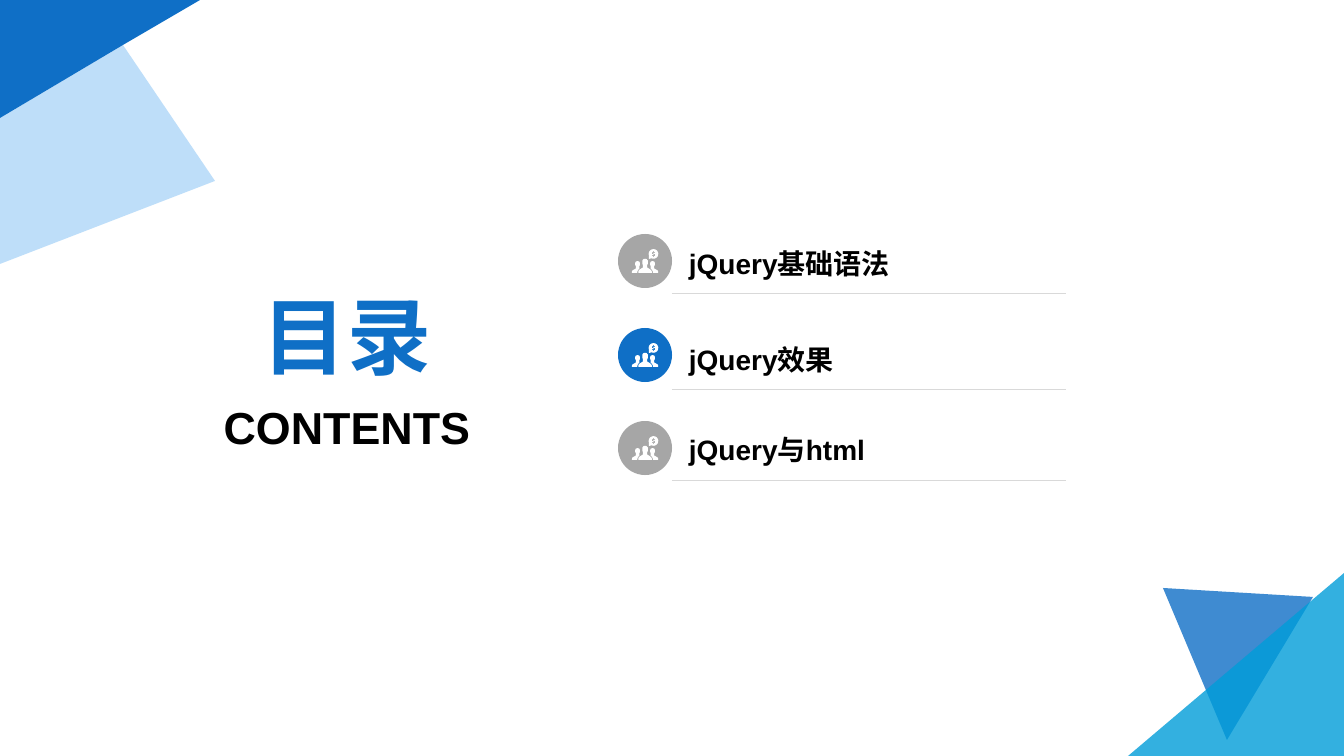
from math import cos, radians, sin

from lxml import etree
from pptx import Presentation
from pptx.dml.color import RGBColor
from pptx.enum.shapes import MSO_CONNECTOR, MSO_SHAPE
from pptx.enum.text import MSO_ANCHOR, MSO_AUTO_SIZE, PP_ALIGN
from pptx.oxml.ns import qn
from pptx.util import Emu, Pt

STRAIGHT = MSO_CONNECTOR.STRAIGHT
OVAL = MSO_SHAPE.OVAL
TOP, MIDDLE, BOTTOM = MSO_ANCHOR.TOP, MSO_ANCHOR.MIDDLE, MSO_ANCHOR.BOTTOM
LEFT, CENTER = PP_ALIGN.LEFT, PP_ALIGN.CENTER
NO_AUTOFIT = MSO_AUTO_SIZE.NONE

BLUE = RGBColor(0x0F, 0x6F, 0xC6)
LIGHT_BLUE = RGBColor(0x59, 0xAA, 0xF2)
CYAN = RGBColor(0x00, 0x9D, 0xD9)
GRAY = RGBColor(0xA6, 0xA6, 0xA6)
RULE_GRAY = RGBColor(0xD9, 0xD9, 0xD9)
BLACK = RGBColor(0, 0, 0)
WHITE = RGBColor(0xFF, 0xFF, 0xFF)

FONT = "Arial"
EMU_PER_PX = 914400 / 100.8
ICON_SCALE = EMU_PER_PX / 10

CORNERS = [
    ([(1313, 597), (1227, 740), (1163, 588)], BLUE, 80),
    ([(1344, 756), (1128, 756), (1344, 573)], CYAN, 80),
    ([(0, 264), (215, 181), (123, 45), (0, 118)], LIGHT_BLUE, 39),
    ([(0, 0), (0, 118), (123, 45), (200, 0)], BLUE, 100),
]
ITEMS = [
    ("jQuery基础语法", GRAY, 234, 240, 293),
    ("jQuery效果", BLUE, 328, 336, 389),
    ("jQuery与html", GRAY, 421, 426, 480),
]

ICON_WIDTH = 262
HALF_LEADER = [(131, 98), (146, 101), (158, 115), (158, 150), (152, 162), (152, 186),
               (170, 196), (192, 212), (198, 225), (198, 240)]
RIGHT_MEMBER = [(206, 122), (222, 125), (230, 140), (230, 160), (222, 172), (222, 195),
                (245, 208), (258, 216), (262, 226), (262, 240), (210, 240), (208, 226),
                (200, 208), (188, 198), (188, 172), (182, 160), (182, 140), (190, 125)]
DOLLAR = [(210, 22), (220, 22), (220, 30), (232, 36), (228, 44), (214, 39), (210, 44),
          (232, 54), (232, 66), (220, 73), (220, 80), (210, 80), (210, 73), (198, 66),
          (202, 58), (216, 63), (220, 58), (198, 48), (198, 37), (210, 30)]


def px(n):
    return Emu(round(n * EMU_PER_PX))


def mirror(points):
    return [(ICON_WIDTH - x, y) for x, y in reversed(points)]


def speech_bubble():
    angles = [radians(a) for a in range(160, 476, 15)]
    return [(215 + 48 * cos(a), 50 + 48 * sin(a)) for a in angles] + [(170, 100)]


def paint(sp, color, opacity=100):
    sp.shadow.inherit = False
    sp.fill.solid()
    sp.fill.fore_color.rgb = color
    sp.line.fill.background()
    if opacity < 100:
        clr = sp.fill._xPr.find(qn("a:solidFill"))[0]
        etree.SubElement(clr, qn("a:alpha")).set("val", str(opacity * 1000))


def add_outline(slide, contours, color, opacity=100, scale=EMU_PER_PX, left=0, top=0):
    first, *others = contours
    builder = slide.shapes.build_freeform(*first[0], scale=scale)
    builder.add_line_segments(first[1:])
    for contour in others:
        builder.move_to(*contour[0])
        builder.add_line_segments(contour[1:])
    paint(builder.convert_to_shape(px(left), px(top)), color, opacity)


def add_badge(slide, left, top, color):
    paint(slide.shapes.add_shape(OVAL, px(left), px(top), px(54), px(54)), color)
    people = [HALF_LEADER + mirror(HALF_LEADER), RIGHT_MEMBER, mirror(RIGHT_MEMBER)]
    add_outline(slide, people + [speech_bubble(), DOLLAR], WHITE,
                scale=ICON_SCALE, left=left + 14, top=top + 15)


def add_rule(slide, left, right, y):
    line = slide.shapes.add_connector(STRAIGHT, px(left), px(y), px(right), px(y))
    line.line.color.rgb = RULE_GRAY
    line.line.width = Pt(0.25)
    etree.SubElement(line._element.spPr, qn("a:effectLst"))


def write(sp, box, text, size, color, align, anchor):
    sp.left, sp.top, sp.width, sp.height = (px(n) for n in box)
    tf = sp.text_frame
    tf.word_wrap = True
    tf.auto_size = NO_AUTOFIT
    tf.vertical_anchor = anchor
    p = tf.paragraphs[0]
    p.text = text
    p.alignment = align
    p.font.name = FONT
    p.font.size = Pt(size)
    p.font.bold = True
    p.font.color.rgb = color
    return tf


def add_text(slide, box, *style):
    return write(slide.shapes.add_textbox(0, 0, 0, 0), box, *style)


def add_item(slide, text, color, badge_top, text_top, rule_y):
    add_badge(slide, 618, badge_top, color)
    tf = add_text(slide, (679, text_top, 394, 42), text, 20, BLACK, LEFT, MIDDLE)
    tf.margin_bottom = 0
    add_rule(slide, 672, 1066, rule_y)


def main():
    prs = Presentation()
    prs.slide_width, prs.slide_height = px(1344), px(756)
    slide = prs.slides.add_slide(prs.slide_layouts[5])
    for points, color, opacity in CORNERS:
        add_outline(slide, [points], color, opacity)
    write(slide.shapes.title, (211, 264, 272, 126), "目录", 60, BLUE, CENTER, BOTTOM)
    add_text(slide, (211, 395, 272, 55), "CONTENTS", 32, BLACK, CENTER, TOP)
    for item in ITEMS:
        add_item(slide, *item)
    prs.save("out.pptx")


if __name__ == "__main__":
    main()
